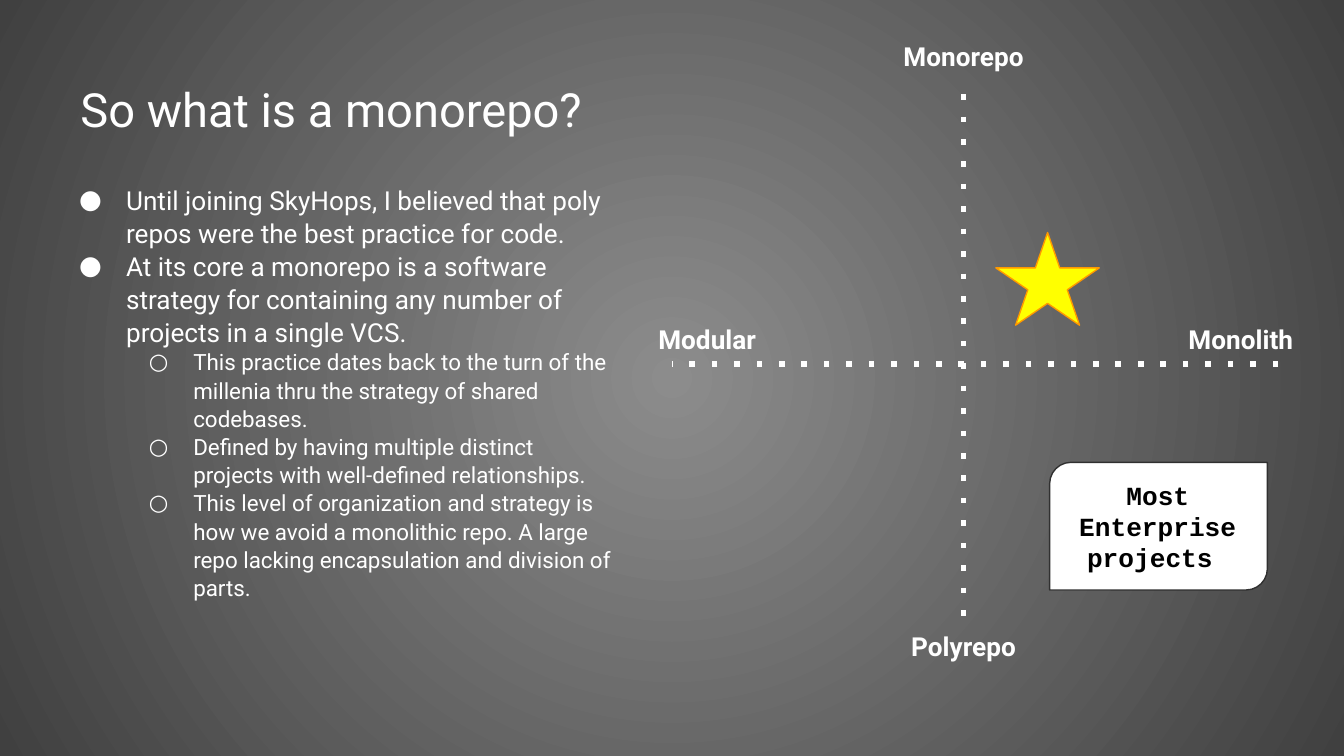
from lxml import etree
from pptx import Presentation
from pptx.dml.color import RGBColor
from pptx.enum.shapes import MSO_CONNECTOR, MSO_SHAPE
from pptx.enum.text import MSO_ANCHOR, PP_ALIGN
from pptx.oxml.ns import qn
from pptx.util import Inches, Pt

LEFT, CENTER, RIGHT = PP_ALIGN.LEFT, PP_ALIGN.CENTER, PP_ALIGN.RIGHT
TOP, MIDDLE = MSO_ANCHOR.TOP, MSO_ANCHOR.MIDDLE
STRAIGHT = MSO_CONNECTOR.STRAIGHT
WHITE = "FFFFFF"
color = RGBColor.from_string

# A 16:9 page, ten inches wide
deck = Presentation()
deck.slide_width, deck.slide_height = Inches(10), Inches(10 * 9 / 16)
page = deck.slides.add_slide(deck.slide_layouts[6])


def add_text(paragraphs, left, top, width, height, size=14, font="Roboto", ink=WHITE,
             bold=False, align=LEFT, anchor=MIDDLE):
    """Add a text box; each paragraph is (text, bullet level or None)."""
    box = page.shapes.add_textbox(*map(Inches, (left, top, width, height)))
    frame = box.text_frame
    frame.word_wrap = True
    frame.vertical_anchor = anchor
    frame.margin_left = frame.margin_right = Inches(0.1)
    frame.margin_top = frame.margin_bottom = Inches(0.1)
    for number, (text, level) in enumerate(paragraphs):
        para = frame.add_paragraph() if number else frame.paragraphs[0]
        para.alignment = align
        if level is not None:
            para.level = level
            para.line_spacing = 1.05
            indent = (0.35, 0.33)[level]
            props = para._p.get_or_add_pPr()
            props.set("marL", str(Inches(0.5 * (level + 1))))
            props.set("indent", str(-Inches(indent)))
            bullet_color = etree.SubElement(props, qn("a:buClr"))
            etree.SubElement(bullet_color, qn("a:srgbClr")).set("val", ink)
            etree.SubElement(props, qn("a:buFont")).set("typeface", font)
            etree.SubElement(props, qn("a:buChar")).set("char", "●○"[level])
        span = para.add_run()
        span.text = text
        span.font.size = Pt(size - 2 * (level or 0))
        span.font.name = font
        span.font.bold = bold
        span.font.color.rgb = color(ink)


def add_figure(kind, left, top, width, height, fill, outline):
    figure = page.shapes.add_shape(kind, *map(Inches, (left, top, width, height)))
    figure.shadow.inherit = False
    figure.fill.solid()
    figure.fill.fore_color.rgb = color(fill)
    figure.line.color.rgb = color(outline)
    figure.line.width = Pt(0.75)


# Background: circular gradient, light in the middle
background = page.background.fill
background.gradient()
for stop, position, shade in zip(background.gradient_stops, (0, 1), ("8C8C8C", "404040")):
    stop.position = position
    stop.color.rgb = color(shade)
gradient = page.element.find(".//" + qn("a:gradFill"))
gradient.remove(gradient.find(qn("a:lin")))
circle = etree.SubElement(gradient, qn("a:path"))
circle.set("path", "circle")
focus = etree.SubElement(circle, qn("a:fillToRect"))
for side in "ltrb":
    focus.set(side, "50000")

# Title and bullets
add_text([("So what is a monorepo?", None)], 0.5, 0.5, 9.32, 0.63, size=25.2, anchor=TOP)
add_text([
    ("Until joining SkyHops, I believed that poly repos were the best practice for code.", 0),
    ("At its core a monorepo is a software strategy for containing any number of projects "
     "in a single VCS.", 0),
    ("This practice dates back to the turn of the millenia thru the strategy of shared "
     "codebases.", 1),
    ("Defined by having multiple distinct projects with well-defined relationships.", 1),
    ("This level of organization and strategy is how we avoid a monolithic repo. A large "
     "repo lacking encapsulation and division of parts.", 1),
], 0.34, 1.26, 4.37, 3.74, anchor=TOP)

# Dotted axes
for ends in ((7.17, 0.7, 7.17, 4.62), (9.51, 2.71, 5, 2.71)):
    axis = page.shapes.add_connector(STRAIGHT, *map(Inches, ends))
    axis.line.color.rgb = color(WHITE)
    axis.line.width = Pt(3)
    etree.SubElement(axis.line._get_or_add_ln(), qn("a:prstDash")).set("val", "dot")
    etree.SubElement(axis._element.spPr, qn("a:effectLst"))

# Axis labels
for label, left, top, width, align in (
    ("Monorepo", 6.22, 0.23, 1.9, CENTER),
    ("Modular", 4.8, 2.33, 1.9, LEFT),
    ("Polyrepo", 6.22, 4.62, 1.9, CENTER),
    ("Monolith", 8.17, 2.33, 1.55, RIGHT),
):
    add_text([(label, None)], left, top, width, 0.38, bold=True, align=align)

# Enterprise card and star on the chart
add_figure(MSO_SHAPE.ROUND_2_DIAG_RECTANGLE, 7.81, 3.44, 1.62, 0.95, WHITE, "303030")
add_text([("Most Enterprise projects ", None)], 7.76, 3.53, 1.71, 0.77,
         font="Courier New", ink="000000", bold=True, align=CENTER)
add_figure(MSO_SHAPE.STAR_5_POINT, 7.41, 1.73, 0.77, 0.69, "FFFF00", "FF9900")

deck.save("out.pptx")
